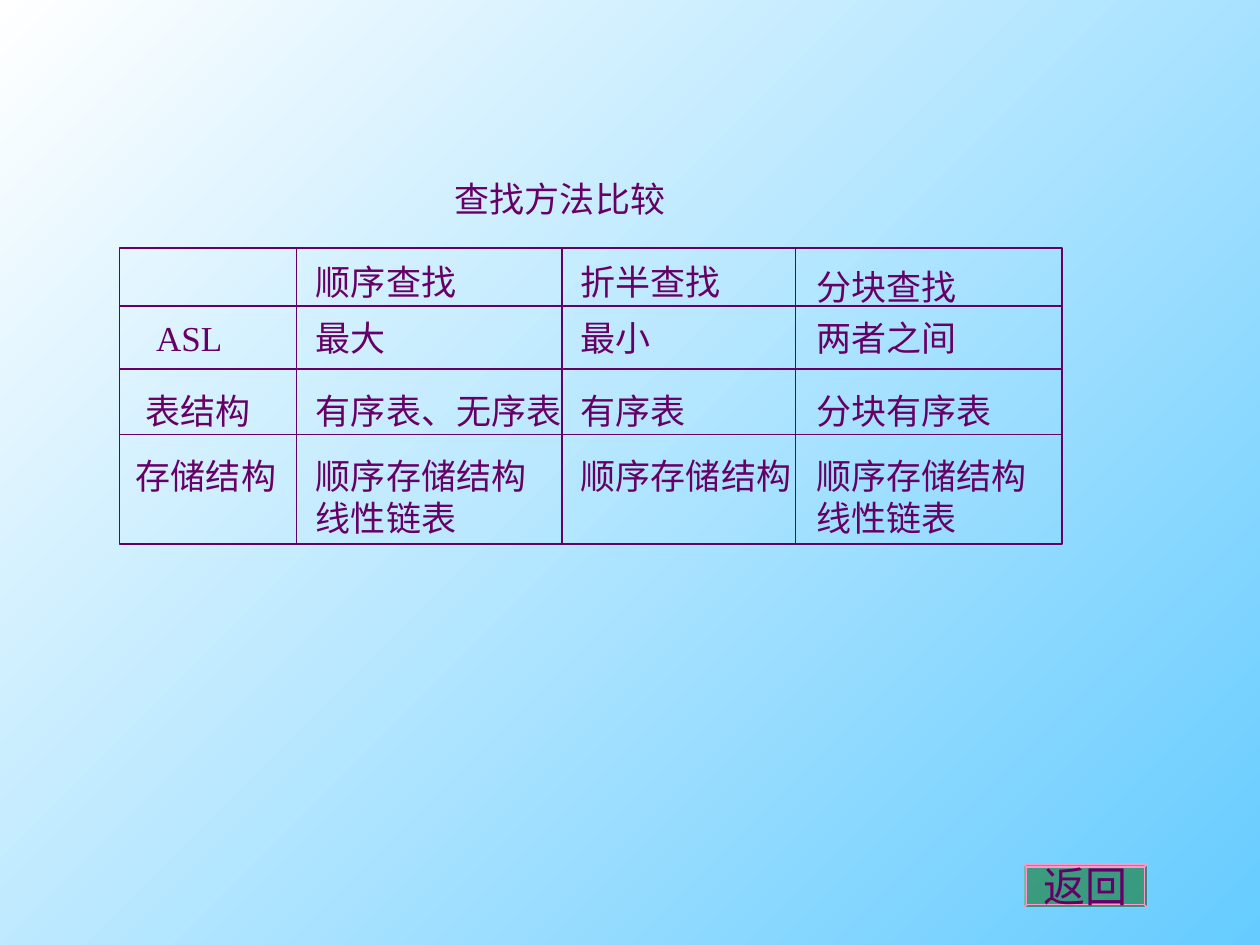
from dataclasses import dataclass

from lxml import etree
from pptx import Presentation
from pptx.dml.color import RGBColor
from pptx.enum import shapes, text
from pptx.oxml import ns
from pptx.util import Cm, Pt

HUES = {"ink": "660066", "sky": "66CCFF", "white": "FFFFFF",
        "green": "006600", "pink": "FF99CC"}
FONT = "Times New Roman"
LEFT, TOP, RIGHT, END = 2.41, 5.0, 21.41, 10.97
COLS = [5.97, 11.33, 16.03]
RULES = [6.17, 7.44, 8.76]
TEXT_X = [6.12, 11.46, 16.21]


@dataclass
class Label:
    x: float
    y: float
    words: str


@dataclass
class Row:
    y: float
    cells: list[str]


ROWS = [
    Row(6.25, ["最大", "最小", "两者之间"]),
    Row(7.72, ["有序表、无序表", "有序表", "分块有序表"]),
    Row(9.04, ["顺序存储结构\n线性链表", "顺序存储结构", "顺序存储结构\n线性链表"]),
]
LABELS = [
    Label(8.92, 3.45, "查找方法比较"),
    Label(TEXT_X[0], 5.13, "顺序查找"),
    Label(TEXT_X[1], 5.13, "折半查找"),
    Label(TEXT_X[2], 5.23, "分块查找"),
    Label(2.9, 6.25, "ASL"),
    Label(2.69, 7.72, "表结构"),
    Label(2.49, 9.04, "存储结构"),
]


def hue(name: str) -> RGBColor:
    return RGBColor.from_string(HUES[name])


def add_run(para, words: str, size: int, face: str) -> None:
    run = para.add_run()
    run.text = words
    run.font.size = Pt(size)
    run.font.name = face
    run.font.color.rgb = hue("ink")


def add_label(slide, item: Label) -> None:
    """Size the box to its longest line, then write one paragraph per line."""
    lines = item.words.split("\n")
    chars = max(len(line) for line in lines)
    wide = 2.0 if item.words.isascii() else 0.52 + 0.706 * chars
    box = slide.shapes.add_textbox(Cm(item.x), Cm(item.y), Cm(wide),
                                   Cm(0.26 + 0.85 * len(lines)))
    frame = box.text_frame
    frame.word_wrap = False
    frame.auto_size = text.MSO_AUTO_SIZE.SHAPE_TO_FIT_TEXT
    for i, line in enumerate(lines):
        para = frame.add_paragraph() if i else frame.paragraphs[0]
        add_run(para, line, 20, FONT)


def add_rule(slide, x1: float, y1: float, x2: float, y2: float) -> None:
    rule = slide.shapes.add_connector(shapes.MSO_CONNECTOR.STRAIGHT,
                                      Cm(x1), Cm(y1), Cm(x2), Cm(y2))
    rule.line.color.rgb = hue("ink")
    rule.line.width = Pt(0.75)
    etree.SubElement(rule._element.spPr, ns.qn("a:effectLst"))


def add_grid(slide) -> None:
    frame = slide.shapes.add_shape(shapes.MSO_SHAPE.RECTANGLE, Cm(LEFT), Cm(TOP),
                                   Cm(RIGHT - LEFT), Cm(END - TOP))
    frame.shadow.inherit = False
    frame.fill.background()
    frame.line.color.rgb = hue("ink")
    frame.line.width = Pt(0.75)
    for x in COLS:
        add_rule(slide, x, TOP, x, END)
    for y in RULES:
        add_rule(slide, LEFT, y, RIGHT, y)


def add_button(slide) -> None:
    key = slide.shapes.add_shape(shapes.MSO_SHAPE.BEVEL, Cm(20.64), Cm(17.42),
                                 Cm(2.49), Cm(0.88))
    key.adjustments[0] = 0.07
    key.shadow.inherit = False
    key.fill.solid()
    key.fill.fore_color.rgb = hue("green")
    tint = key._element.spPr.find(".//" + ns.qn("a:srgbClr"))
    etree.SubElement(tint, ns.qn("a:alpha"), val="50000")
    key.line.color.rgb = hue("pink")
    key.line.width = Pt(0.75)
    frame = key.text_frame
    frame.word_wrap = False
    frame.vertical_anchor = text.MSO_ANCHOR.MIDDLE
    para = frame.paragraphs[0]
    para.alignment = text.PP_ALIGN.CENTER
    add_run(para, "返回", 24, "Cabin")


def paint(slide) -> None:
    """Fade the background from sky at lower right to white at upper left."""
    fill = slide.background.fill
    fill.gradient()
    fill.gradient_angle = 135
    for stop, name in zip(fill.gradient_stops, ("sky", "white")):
        stop.color.rgb = hue(name)


def main() -> None:
    deck = Presentation()
    deck.slide_width, deck.slide_height = Cm(25.4), Cm(19.05)
    slide = deck.slides.add_slide(deck.slide_layouts[6])
    paint(slide)
    for row in ROWS:
        for x, words in zip(TEXT_X, row.cells):
            add_label(slide, Label(x, row.y, words))
    for item in LABELS:
        add_label(slide, item)
    add_grid(slide)
    add_button(slide)
    deck.save("out.pptx")


if __name__ == "__main__":
    main()
